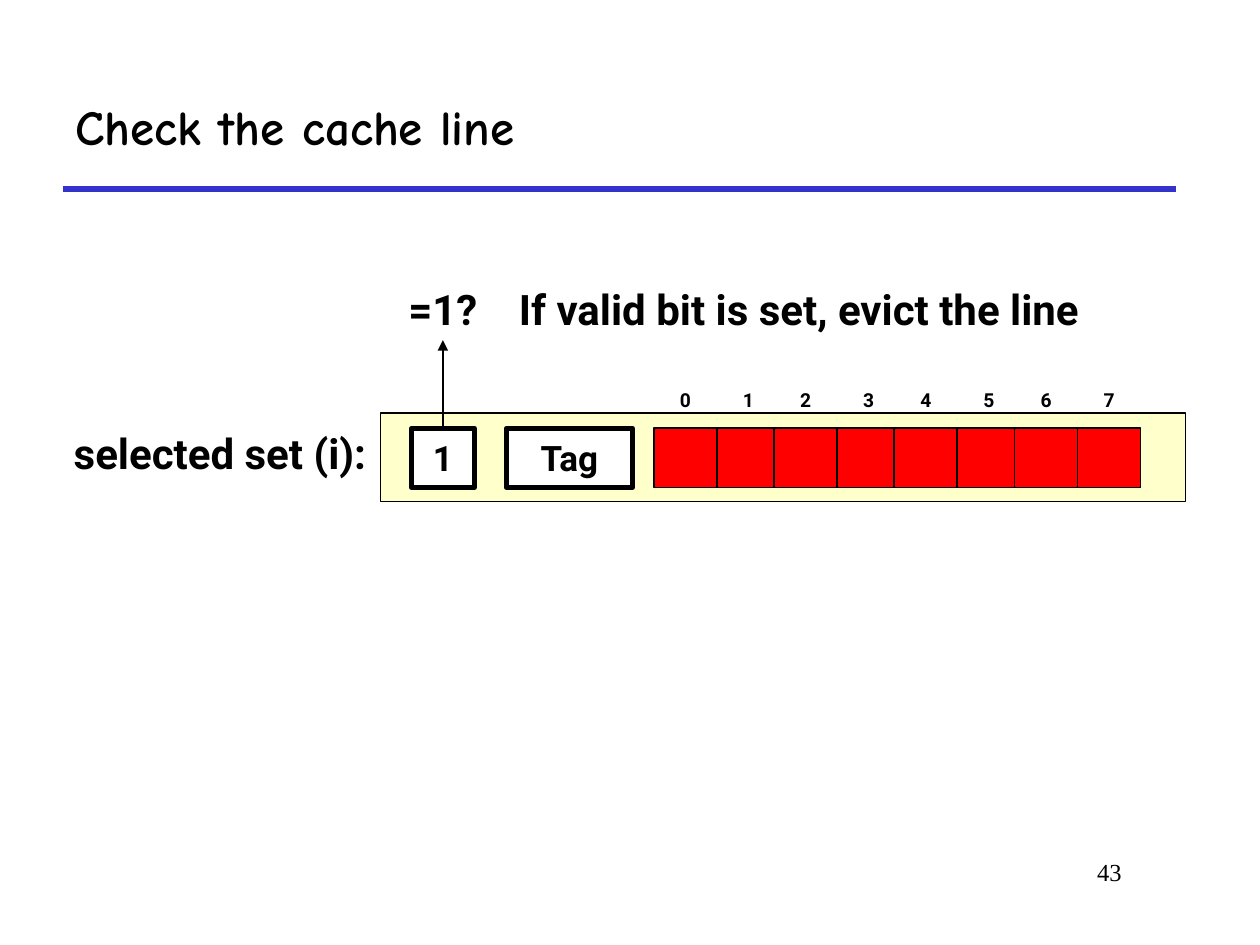
from lxml.etree import SubElement
from pptx import Presentation
from pptx.dml.color import RGBColor
from pptx.enum.shapes import MSO_CONNECTOR, MSO_SHAPE
from pptx.enum.text import MSO_ANCHOR, PP_ALIGN
from pptx.oxml.ns import qn
from pptx.util import Pt

COLORS = {
    "black": "000000",
    "white": "FFFFFF",
    "rule": "3333CC",
    "set": "FFFF99",
    "byte": "FF0000",
}
BODY_FONT = "Roboto"
FIELD_TOP, FIELD_HEIGHT = 244.8, 33.8
BYTE_WIDTH = 36
LABEL_TOP = 211.7


def rgb(name):
    return RGBColor.from_string(COLORS[name])


def write(shape, text, size, align, font=BODY_FONT, bold=True, wrap=False,
          anchor=MSO_ANCHOR.MIDDLE):
    frame = shape.text_frame
    frame.word_wrap = wrap
    frame.vertical_anchor = anchor
    paragraph = frame.paragraphs[0]
    paragraph.text = text
    paragraph.alignment = align
    paragraph.font.name = font
    paragraph.font.size = Pt(size)
    paragraph.font.bold = bold
    paragraph.font.color.rgb = rgb("black")


def add_text(slide, box, text, size, align=PP_ALIGN.CENTER, **style):
    shape = slide.shapes.add_textbox(*map(Pt, box))
    write(shape, text, size, align, **style)


def add_box(slide, box, fill, line_width=1, text=None):
    shape = slide.shapes.add_shape(MSO_SHAPE.RECTANGLE, *map(Pt, box))
    shape.shadow.inherit = False
    shape.fill.solid()
    shape.fill.fore_color.rgb = rgb(fill)
    shape.line.color.rgb = rgb("black")
    shape.line.width = Pt(line_width)
    if text:
        write(shape, text, 20, PP_ALIGN.CENTER)
    return shape


def set_opacity(shape, percent):
    color = shape.fill._xPr.find(qn("a:solidFill"))[0]
    SubElement(color, qn("a:alpha"), val=str(percent * 1000))


def add_line(slide, ends, color, width, arrow=False):
    line = slide.shapes.add_connector(MSO_CONNECTOR.STRAIGHT, *map(Pt, ends))
    line.line.color.rgb = rgb(color)
    line.line.width = Pt(width)
    if arrow:
        SubElement(line.line._get_or_add_ln(), qn("a:tailEnd"), type="triangle")
    SubElement(line._element.spPr, qn("a:effectLst"))
    return line


def add_bytes(slide):
    """Draw the numbered data bytes, evenly spaced in overlapping pairs."""
    for index in range(8):
        pair, second = divmod(index, 2)
        left = 373.7 + 68.7 * pair + BYTE_WIDTH * second
        add_text(slide, (left, LABEL_TOP, BYTE_WIDTH, FIELD_HEIGHT), str(index), 11)
        add_box(slide, (left, FIELD_TOP, BYTE_WIDTH, FIELD_HEIGHT), "byte")


def main():
    presentation = Presentation()
    presentation.slide_width, presentation.slide_height = Pt(720), Pt(540)
    slide = presentation.slides.add_slide(presentation.slide_layouts[6])

    add_line(slide, (36, 108, 672, 108), "rule", 3)
    add_text(slide, (36, 36, 636, 72), "Check the cache line", 28, PP_ALIGN.LEFT,
             font="Comic Neue", wrap=True)
    add_text(slide, (546, 486, 102, 36), "43", 14, PP_ALIGN.RIGHT,
             font="Times New Roman", bold=False, wrap=True, anchor=MSO_ANCHOR.TOP)

    cache_set = add_box(slide, (217.4, 236.2, 460.1, 50.4), "set")
    set_opacity(cache_set, 50)
    add_text(slide, (35, 240.5, 182, 36), "selected set (i):", 24, PP_ALIGN.LEFT)

    valid_bit = add_box(slide, (235.1, FIELD_TOP, 36, FIELD_HEIGHT), "white", 3, "1")
    add_box(slide, (289.4, FIELD_TOP, 72, FIELD_HEIGHT), "white", 3, "Tag")
    arrow = add_line(slide, (253.1, FIELD_TOP, 253.1, 194.4), "black", 1, arrow=True)
    arrow.begin_connect(valid_bit, 0)

    add_text(slide, (224.6, 158, 56.9, 36.7), "=1?", 24)
    add_text(slide, (289.4, 158, 355.7, 36.7), "If valid bit is set, evict the line",
             24, PP_ALIGN.LEFT)
    add_bytes(slide)
    presentation.save("out.pptx")


if __name__ == "__main__":
    main()
